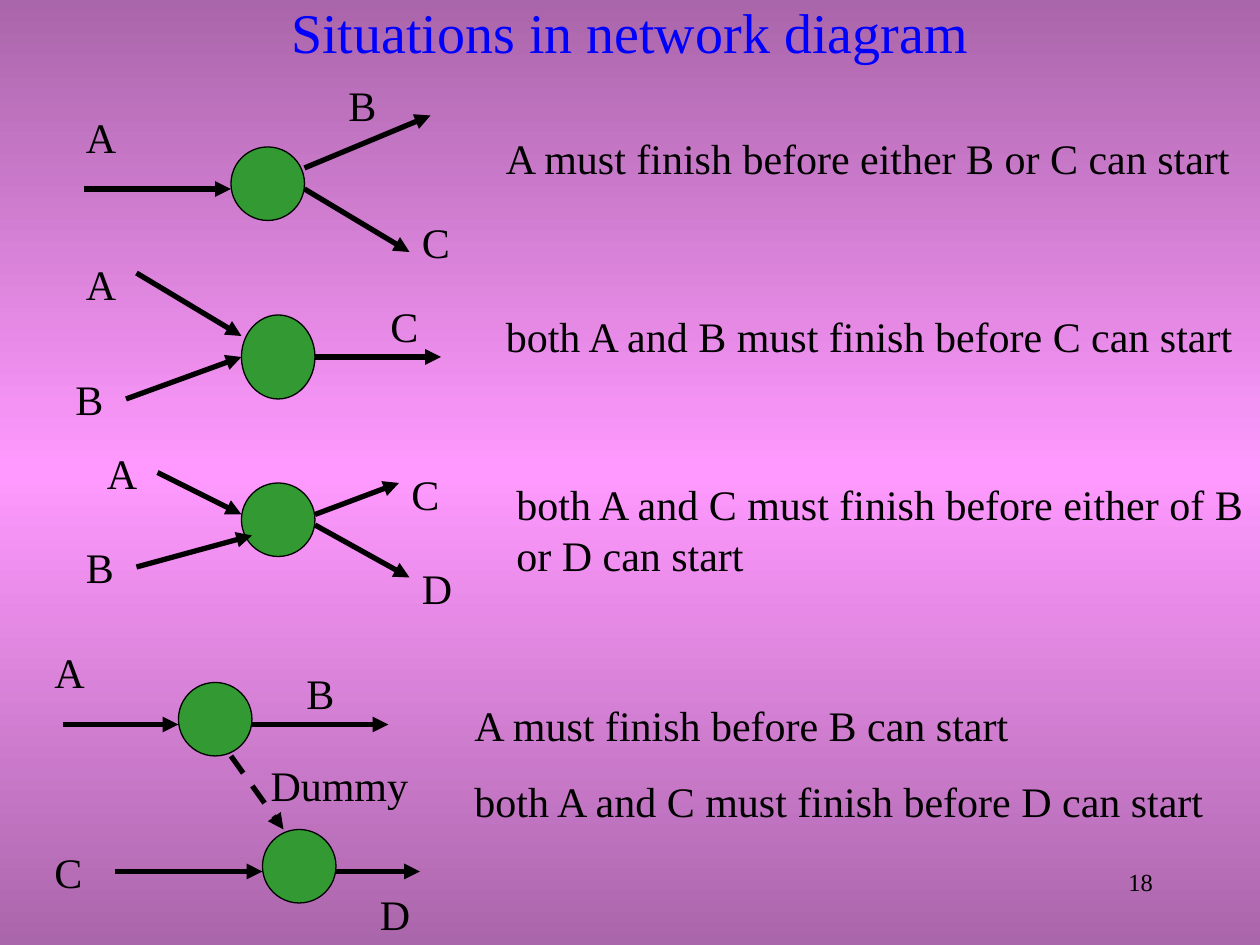
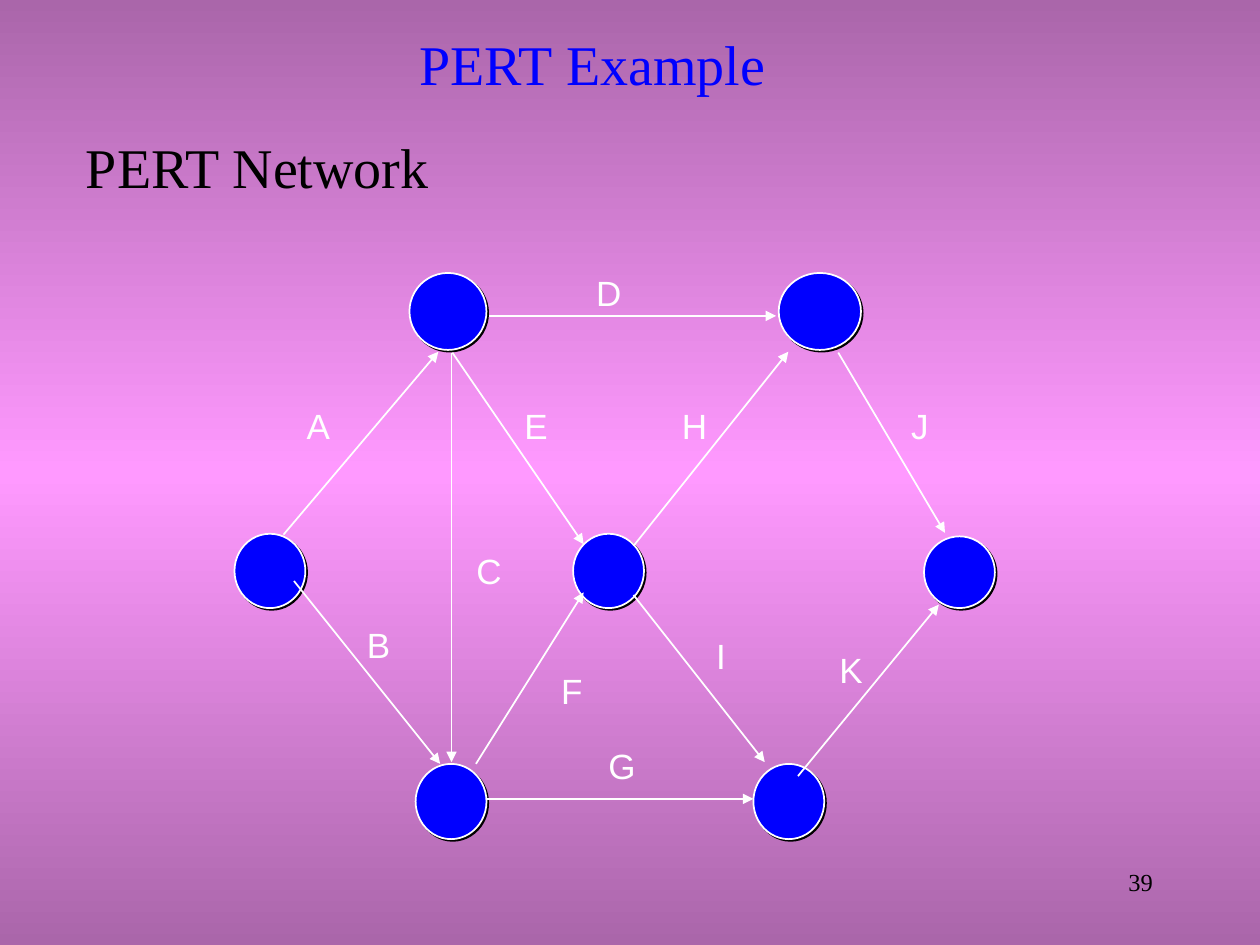
"""Build two slides of network diagrams: basic situations and a PERT example."""
from copy import deepcopy

from lxml.etree import SubElement
from pptx import Presentation
from pptx.dml.color import RGBColor
from pptx.enum.dml import MSO_LINE
from pptx.enum.shapes import MSO_CONNECTOR, MSO_SHAPE
from pptx.enum.text import MSO_ANCHOR, MSO_AUTO_SIZE, PP_ALIGN
from pptx.oxml.ns import qn
from pptx.util import Pt

BLUE = RGBColor(0x00, 0x00, 0xFF)
GREEN = RGBColor(0x33, 0x99, 0x33)
BLACK = RGBColor(0x00, 0x00, 0x00)
WHITE = RGBColor(0xFF, 0xFF, 0xFF)
PLUM = RGBColor(0xAA, 0x66, 0xAA)
PINK = RGBColor(0xFF, 0x99, 0xFF)
SERIF, SANS = "Times New Roman", "Arial"

# Boxes are left, top, width, height; arrows are from x, y to x, y.
CASES = [
    {"nodes": [(132, 84, 42, 42)],
     "arrows": [(48, 108, 132, 108), (174, 96, 246, 66), (174, 108, 234, 144)],
     "labels": [("A", 42, 60), ("B", 192, 42), ("C", 234, 120)],
     "rule": (["A must finish before either B or C can start"], (282, 72, 438, 36))},
    {"nodes": [(138, 180, 42, 48)],
     "arrows": [(78, 156, 138, 192), (72, 228, 138, 204), (180, 204, 252, 204)],
     "labels": [("A", 42, 144), ("B", 36, 210), ("C", 216, 168)],
     "rule": (["both A and B must finish before C can start"], (282, 174, 438, 36))},
    {"nodes": [(138, 276, 42, 42)],
     "arrows": [(78, 324, 144, 306), (90, 270, 138, 294),
                (180, 294, 228, 276), (180, 300, 234, 330)],
     "labels": [("A", 54, 252), ("B", 42, 306), ("C", 228, 264), ("D", 234, 318)],
     "rule": (["both A and C must finish before either of B or D can start"],
              (288, 270, 432, 65))},
    {"nodes": [(102, 390, 42, 42), (150, 474, 42, 42)],
     "arrows": [(36, 414, 102, 414), (144, 414, 222, 414),
                (66, 498, 150, 498), (192, 498, 240, 498)],
     "dummy": (132, 432, 162, 474),
     "labels": [("A", 24, 366), ("C", 24, 480), ("B", 168, 378), ("D", 210, 504),
                ("Dummy", 147.5, 430.5)],
     "rule": (["A must finish before B can start",
               "both A and C must finish before D can start"], (264, 396, 456, 80))},
]

EVENTS = [
    (134, 305, 40.5, 42.5), (234, 156, 44, 44), (237.5, 436.5, 40.5, 43),
    (327.5, 305, 40.5, 42.5), (445, 156, 47, 44), (430.5, 436.5, 40.5, 43),
    (528, 306.5, 40.5, 41),
]
TASKS = [
    ("A", (162, 305.5, 250.5, 201), (166.5, 227)),
    ("B", (168, 332, 251.5, 436.5), (201, 352)),
    ("C", (258, 201.5, 258, 435.5), (263.5, 309.5)),
    ("D", (279.5, 180.5, 443.5, 180.5), (332, 151)),
    ("E", (258.5, 201.5, 333.5, 311), (291, 227)),
    ("F", (272, 436.5, 333.5, 338.5), (312, 378.5)),
    ("G", (278, 456.5, 430.5, 456.5), (339, 421)),
    ("H", (362, 312, 450.5, 201), (381, 227)),
    ("I", (362, 340, 437, 435.5), (400.5, 358)),
    ("J", (479, 201.5, 540, 304.5), (512, 227)),
    ("K", (456, 443.5, 536.5, 345.5), (471, 366)),
]


def points(vals):
    return [Pt(v) for v in vals]


def write(frame, lines, size, color=BLACK, font=SERIF, align=PP_ALIGN.LEFT, pad=(7.2, 3.6)):
    frame.word_wrap = True
    frame.auto_size = MSO_AUTO_SIZE.NONE
    frame.margin_left = frame.margin_right = Pt(pad[0])
    frame.margin_top = frame.margin_bottom = Pt(pad[1])
    for i, line in enumerate(lines):
        para = frame.add_paragraph() if i else frame.paragraphs[0]
        para.alignment = align
        para.space_before = Pt(15 if i else 0)
        run = para.add_run()
        run.text = line
        run.font.size, run.font.name = Pt(size), font
        run.font.color.rgb = color


def text(slide, lines, box, size=24, **style):
    write(slide.shapes.add_textbox(*points(box)).text_frame, lines, size, **style)


def node(slide, box, fill, edge, width, shade=False):
    oval = slide.shapes.add_shape(MSO_SHAPE.OVAL, *points(box))
    oval.shadow.inherit = False
    oval.fill.solid()
    oval.fill.fore_color.rgb = fill
    oval.line.color.rgb = edge
    oval.line.width = Pt(width)
    if shade:
        list_ = oval._element.spPr.find(qn("a:effectLst"))
        drop = SubElement(list_, qn("a:outerShdw"), blurRad="0", dist=str(Pt(1.4)),
                          dir="2700000", algn="ctr", rotWithShape="0")
        SubElement(drop, qn("a:srgbClr"), val=str(BLACK))


def arrow(slide, ends, color, width, dash=None):
    link = slide.shapes.add_connector(MSO_CONNECTOR.STRAIGHT, *points(ends))
    link.line.color.rgb = color
    link.line.width = Pt(width)
    if dash:
        link.line.dash_style = dash
    SubElement(link.line._get_or_add_ln(), qn("a:tailEnd"), type="triangle")
    SubElement(link._element.spPr, qn("a:effectLst"))


def paint(master):
    fill = master.background.fill
    fill.gradient()
    fill.gradient_angle = 90
    stops = master.element.find(".//" + qn("a:gsLst"))
    stops.insert(1, deepcopy(stops[0]))
    for stop, color, place in zip(fill.gradient_stops, (PLUM, PINK, PLUM), (0, 0.5, 1)):
        stop.color.rgb = color
        stop.position = place


def start(deck, title, box, number):
    slide = deck.slides.add_slide(deck.slide_layouts[5])
    head = slide.shapes.title
    head.left, head.top, head.width, head.height = points(box)
    write(head.text_frame, [title], 32, BLUE, align=PP_ALIGN.CENTER)
    head.text_frame.vertical_anchor = MSO_ANCHOR.MIDDLE
    text(slide, [number], (516, 492, 150, 36), 14, align=PP_ALIGN.RIGHT)
    return slide


def cases(deck):
    slide = start(deck, "Situations in network diagram", (54, 0, 612, 36), "18")
    for case in CASES:
        for box in case["nodes"]:
            node(slide, box, GREEN, BLACK, 0.75)
        for ends in case["arrows"]:
            arrow(slide, ends, BLACK, 3)
        if "dummy" in case:
            arrow(slide, case["dummy"], BLACK, 3, MSO_LINE.DASH)
        for name, x, y in case["labels"]:
            text(slide, [name], (x, y, 42 if len(name) == 1 else 96, 36))
        text(slide, *case["rule"])


def pert(deck):
    slide = start(deck, "PERT Example", (60, 12, 557, 48), "39")
    for box in EVENTS:
        node(slide, box, BLUE, WHITE, 1, shade=True)
    for name, ends, spot in TASKS:
        arrow(slide, ends, WHITE, 1)
        text(slide, [name], (*spot, 34, 32.5), 20, color=WHITE, font=SANS, pad=(8.64, 4.32))
    text(slide, ["PERT Network"], (42, 72, 240, 46), 32)


def main():
    deck = Presentation()
    deck.slide_width, deck.slide_height = Pt(720), Pt(540)
    paint(deck.slide_master)
    cases(deck)
    pert(deck)
    deck.save("out.pptx")


if __name__ == "__main__":
    main()
